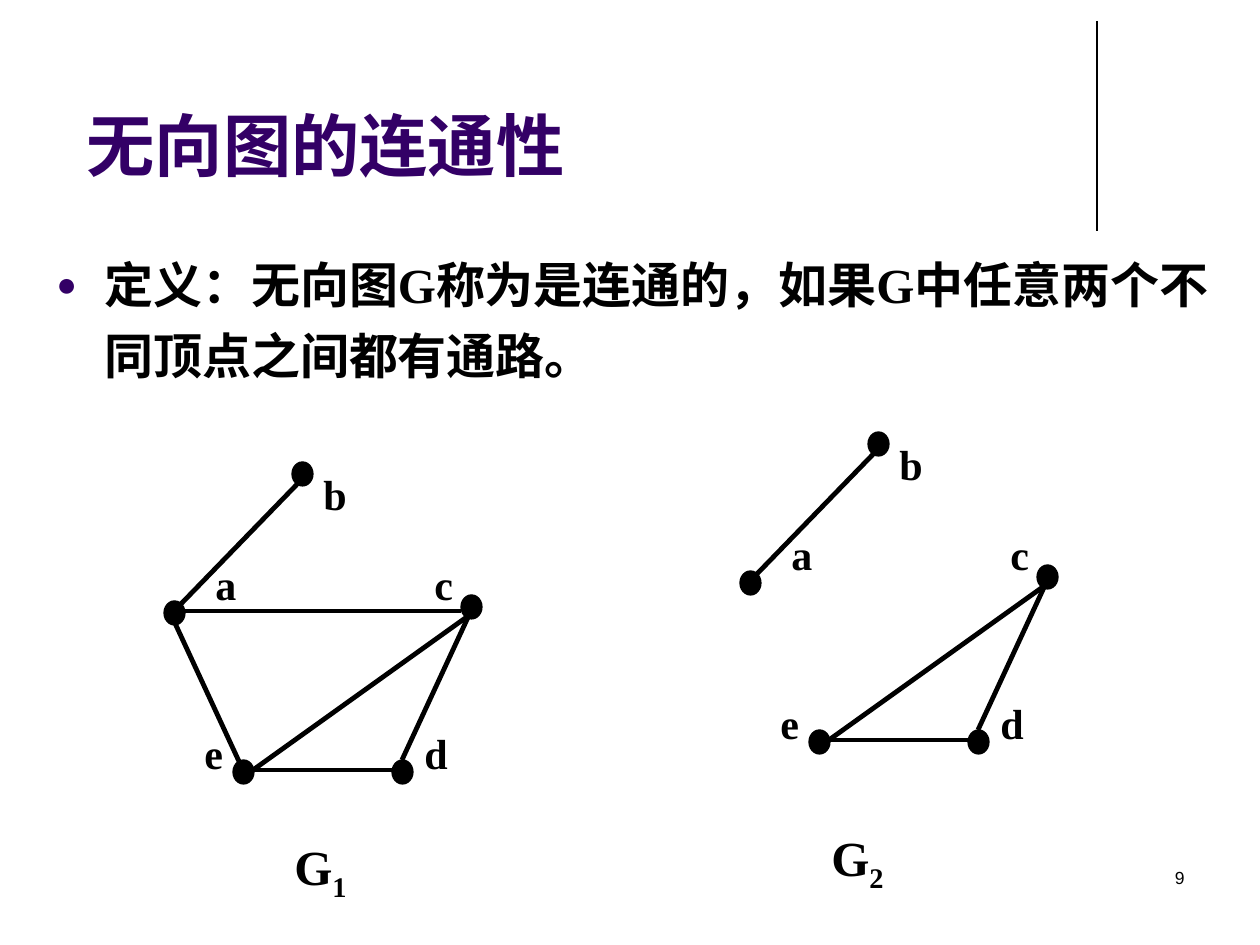
import pptx
import pptx.dml.color
import pptx.enum.shapes
import pptx.enum.text
import pptx.oxml
import pptx.oxml.ns
import pptx.util

EMU_PER_PX = 914400 / 126
COLORS = {"ink": "000000", "accent": "330066"}
SERIF, SANS = "Times New Roman", "Arial"

EDGES = {
    "ab": (179, 606, 309, 472),
    "ce": (471, 614, 253, 770),
    "cd": (471, 611, 402, 760),
    "ac": (461, 611, 174, 611),
    "ae": (174, 621, 243, 770),
    "de": (402, 770, 243, 770),
}
# Left and top of each vertex dot, then of its label
VERTICES = {
    "a": ((164, 601), (203, 552)),
    "b": ((292, 462), (311, 462)),
    "c": ((461, 595), (422, 552)),
    "d": ((392, 760), (412, 721)),
    "e": ((233, 760), (192, 721)),
}


def px(length):
    return pptx.util.Emu(round(length * EMU_PER_PX))


def rgb(name):
    return pptx.dml.color.RGBColor.from_string(COLORS[name])


def add_element(parent, tag, **attributes):
    child = pptx.oxml.parse_xml(f"<{tag} {pptx.oxml.ns.nsdecls('a')}/>")
    for key, value in attributes.items():
        child.set(key, value)
    parent.append(child)
    return child


class SlideBuilder:
    def __init__(self, slide):
        self.slide = slide

    def style(self, paragraph, size, font=SERIF, color="ink", bold=True):
        for run in paragraph.runs:
            run.font.name = font
            run.font.size = pptx.util.Pt(size)
            run.font.bold = bold
            run.font.color.rgb = rgb(color)

    def title(self, text, left, top, width, height):
        heading = self.slide.shapes.title
        heading.left, heading.top = px(left), px(top)
        heading.width, heading.height = px(width), px(height)
        frame = heading.text_frame
        frame.text = text
        frame.vertical_anchor = pptx.enum.text.MSO_ANCHOR.BOTTOM
        frame.auto_size = pptx.enum.text.MSO_AUTO_SIZE.NONE
        frame.paragraphs[0].alignment = pptx.enum.text.PP_ALIGN.LEFT
        self.style(frame.paragraphs[0], 39, SANS, "accent")

    def text(self, text, left, top, width, height, parent=None):
        """Add a wrapping text box and return its first paragraph."""
        shapes = (parent or self.slide).shapes
        box = shapes.add_textbox(px(left), px(top), px(width), px(height))
        box.text_frame.word_wrap = True
        box.text_frame.text = text
        return box.text_frame.paragraphs[0]

    def bullet(self, text, left, top, width, height):
        paragraph = self.text(text, left, top, width, height)
        paragraph.line_spacing = 1.2
        properties = paragraph._p.get_or_add_pPr()
        properties.set("marL", str(px(48)))
        properties.set("indent", str(-px(48)))
        bullet_color = add_element(properties, "a:buClr")
        add_element(bullet_color, "a:srgbClr", val=COLORS["accent"])
        add_element(properties, "a:buSzPct", val="70000")
        add_element(properties, "a:buFont", typeface=SANS)
        add_element(properties, "a:buChar", char="●")
        self.style(paragraph, 28)

    def line(self, x1, y1, x2, y2, weight, parent=None):
        connector = (parent or self.slide).shapes.add_connector(
            pptx.enum.shapes.MSO_CONNECTOR.STRAIGHT, px(x1), px(y1), px(x2), px(y2))
        connector.line.color.rgb = rgb("ink")
        connector.line.width = pptx.util.Pt(weight)
        add_element(connector._element.spPr, "a:effectLst")

    def dot(self, left, top, parent):
        dot = parent.shapes.add_shape(
            pptx.enum.shapes.MSO_SHAPE.OVAL, px(left), px(top), px(21), px(24))
        dot.shadow.inherit = False
        dot.fill.solid()
        dot.fill.fore_color.rgb = rgb("ink")
        dot.line.color.rgb = rgb("ink")
        dot.line.width = pptx.util.Pt(0.75)

    def graph(self, edges, dx=0, dy=0):
        """Draw all five vertices and the named edges, shifted by dx and dy."""
        group = self.slide.shapes.add_group_shape()
        for edge in edges:
            x1, y1, x2, y2 = EDGES[edge]
            self.line(x1 + dx, y1 + dy, x2 + dx, y2 + dy, 2.75, group)
        for name, (dot, label) in VERTICES.items():
            self.dot(dot[0] + dx, dot[1] + dy, group)
            self.style(self.text(name, label[0] + dx, label[1] + dy, 49, 63, group), 24)

    def caption(self, index, left, top):
        paragraph = self.text("G", left, top, 129, 72)
        subscript = paragraph.add_run()
        subscript.text = index
        self.style(paragraph, 28)
        subscript._r.get_or_add_rPr().set("baseline", "-25000")

    def page_number(self, number, left, top, width, height):
        paragraph = self.text(number, left, top, width, height)
        paragraph.alignment = pptx.enum.text.PP_ALIGN.RIGHT
        self.style(paragraph, 10, SANS, bold=False)


def main():
    presentation = pptx.Presentation()
    presentation.slide_width, presentation.slide_height = px(1260), px(945)
    title_only = presentation.slide_layouts[5]
    builder = SlideBuilder(presentation.slides.add_slide(title_only))

    builder.line(1097, 21, 1097, 231, 0.75)
    builder.title("无向图的连通性", 74, 66, 1103, 126)
    builder.bullet("定义：无向图G称为是连通的，如果G中任意两个不同顶点之间都有通路。",
                   44, 237, 1216, 166)
    builder.page_number("9", 903, 861, 294, 63)
    builder.graph(EDGES)
    builder.graph(["ab", "ce", "cd", "de"], dx=576, dy=-30)
    builder.caption("1", 282, 830)
    builder.caption("2", 819, 821)
    presentation.save("out.pptx")


if __name__ == "__main__":
    main()
